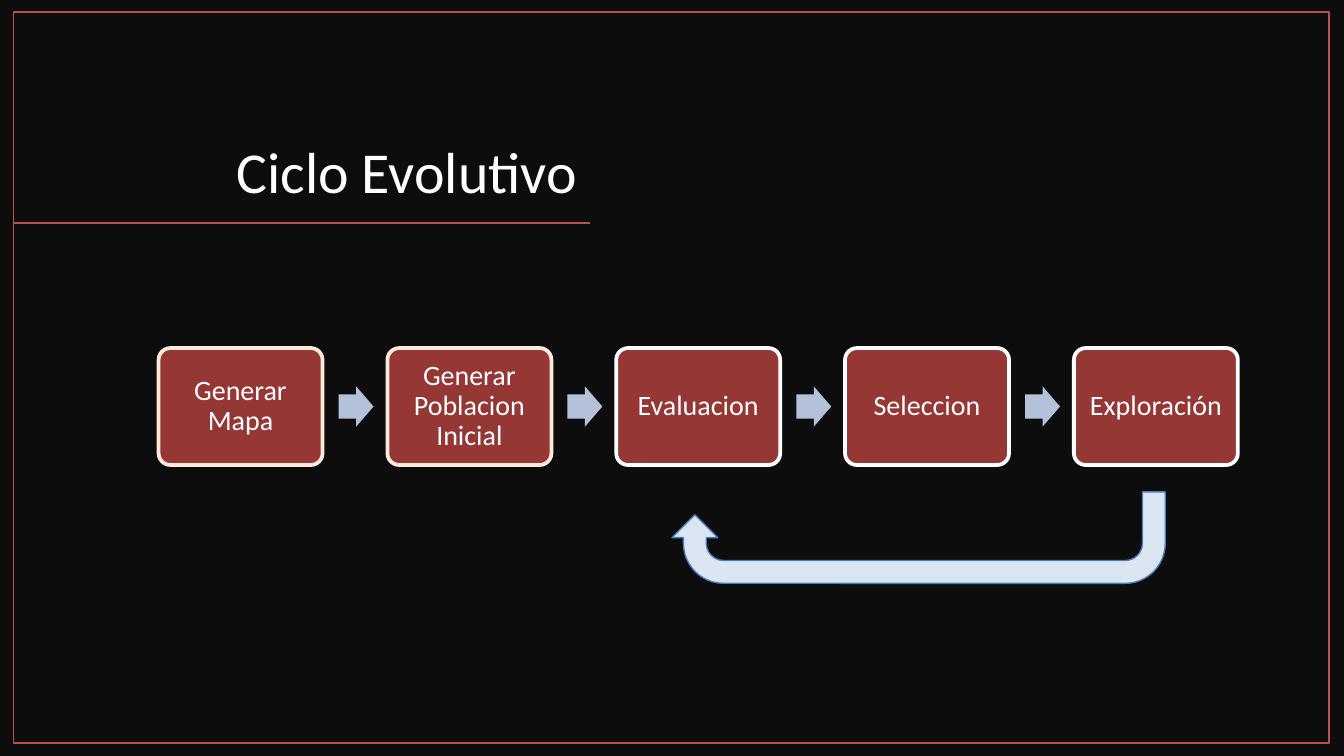
from lxml import etree
from pptx import Presentation
from pptx.dml.color import RGBColor
from pptx.enum.shapes import MSO_CONNECTOR, MSO_SHAPE
from pptx.enum.text import MSO_ANCHOR, MSO_AUTO_SIZE, PP_ALIGN
from pptx.oxml.ns import qn
from pptx.util import Inches, Pt

RECTANGLE, ROUNDED = MSO_SHAPE.RECTANGLE, MSO_SHAPE.ROUNDED_RECTANGLE
RIGHT_ARROW, U_TURN = MSO_SHAPE.RIGHT_ARROW, MSO_SHAPE.U_TURN_ARROW
CENTER, RIGHT = PP_ALIGN.CENTER, PP_ALIGN.RIGHT
MIDDLE, BOTTOM = MSO_ANCHOR.MIDDLE, MSO_ANCHOR.BOTTOM

TITLE = "Ciclo Evolutivo"
CREAM, WHITE, ACCENT = "FDEADA", "FFFFFF", "C0504D"
STEPS = [
    ("Generar Mapa", CREAM),
    ("Generar Poblacion Inicial", CREAM),
    ("Evaluacion", WHITE),
    ("Seleccion", WHITE),
    ("Exploración", WHITE),
]

PAGE_W = 10
PAGE_H = PAGE_W * 9 / 16
FIRST_LEFT, LAST_LEFT = 1.18, 7.99
STEP_TOP, STEP_W, STEP_H = 2.59, 1.22, 0.87
STEP_PITCH = (LAST_LEFT - FIRST_LEFT) / (len(STEPS) - 1)
ARROW_W, ARROW_H, ARROW_GAP = 0.26, 0.3, 0.12


def color(hex_text):
    return RGBColor.from_string(hex_text)


def add_shape(page, kind, left, top, width, height, fill=None, line=None, weight=1):
    shape = page.shapes.add_shape(
        kind, Inches(left), Inches(top), Inches(width), Inches(height))
    shape.shadow.inherit = False
    if fill:
        shape.fill.solid()
        shape.fill.fore_color.rgb = color(fill)
    else:
        shape.fill.background()
    if line:
        shape.line.color.rgb = color(line)
        shape.line.width = Pt(weight)
    else:
        shape.line.fill.background()
    return shape


def write(shape, text, size, align, anchor, inset=None):
    frame = shape.text_frame
    frame.text = text
    frame.word_wrap = True
    frame.auto_size = MSO_AUTO_SIZE.NONE
    frame.vertical_anchor = anchor
    if inset is not None:
        frame.margin_left = frame.margin_right = Inches(inset)
        frame.margin_top = frame.margin_bottom = Inches(inset)
    para = frame.paragraphs[0]
    para.alignment = align
    para.line_spacing = 0.9
    para.space_before = Pt(0)
    para.font.name = "Calibri"
    para.font.size = Pt(size)
    para.font.color.rgb = color(WHITE)


def add_title(page):
    title = page.shapes.title
    title.left, title.top = Inches(0.69), Inches(0.49)
    title.width, title.height = Inches(3.7), Inches(1.09)
    write(title, TITLE, 31, RIGHT, BOTTOM)
    backdrop = add_shape(page, RECTANGLE, 0, 0, PAGE_W, PAGE_H, fill="0D0D0D")
    title.element.addprevious(backdrop.element)

    rule = page.shapes.add_connector(
        MSO_CONNECTOR.STRAIGHT, Inches(4.39), Inches(1.66), Inches(0.1), Inches(1.66))
    rule.line.color.rgb = color(ACCENT)
    rule.line.width = Pt(1)
    etree.SubElement(rule.element.spPr, qn("a:effectLst"))
    add_shape(page, RECTANGLE, 0.1, 0.09, 9.79, 5.44, line=ACCENT)


def add_cycle(page):
    arrow_top = STEP_TOP + (STEP_H - ARROW_H) / 2
    for index, (label, outline) in enumerate(STEPS):
        left = FIRST_LEFT + index * STEP_PITCH
        step = add_shape(page, ROUNDED, left, STEP_TOP, STEP_W, STEP_H,
                         fill="953735", line=outline, weight=2)
        step.adjustments[0] = 0.1
        write(step, label, 15, CENTER, MIDDLE, inset=0.06)
        if index < len(STEPS) - 1:
            arrow = add_shape(page, RIGHT_ARROW, left + STEP_W + ARROW_GAP, arrow_top,
                              ARROW_W, ARROW_H, fill="B3C1DB")
            arrow.adjustments[0] = 0.6

    loop = add_shape(page, U_TURN, 5, 3.66, 3.67, 0.68,
                     fill="DCE6F2", line="4B7EBC", weight=0.75)
    loop.rotation = 180


def main():
    deck = Presentation()
    deck.slide_width, deck.slide_height = Inches(PAGE_W), Inches(PAGE_H)
    page = deck.slides.add_slide(deck.slide_layouts[5])
    add_title(page)
    add_cycle(page)
    deck.save("out.pptx")


if __name__ == "__main__":
    main()
